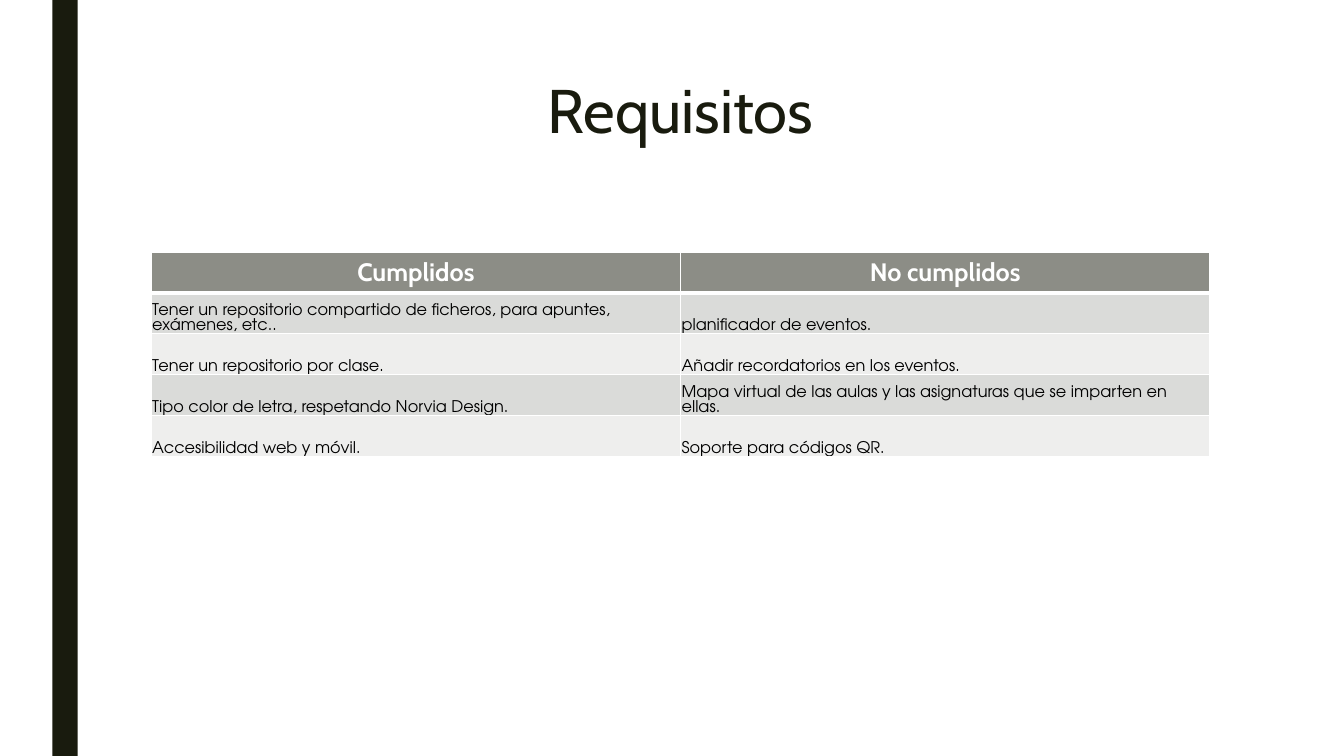
from dataclasses import dataclass

from lxml import etree
from pptx import Presentation
from pptx import util as u
from pptx.dml.color import RGBColor
from pptx.enum import shapes, text
from pptx.oxml import ns

INK = {"dark": "191B0E", "head": "8C8D86", "odd": "DADBD9",
       "even": "EEEEED", "white": "FFFFFF", "black": "000000"}


@dataclass
class Row:
    met: str
    unmet: str


HEAD = Row("Cumplidos", "No cumplidos")
ROWS = [
    Row("Tener un repositorio compartido de ficheros, para apuntes, exámenes, etc..",
        "planificador de eventos."),
    Row("Tener un repositorio por clase.", "Añadir recordatorios en los eventos."),
    Row("Tipo color de letra, respetando Norvia Design.",
        "Mapa virtual de las aulas y las asignaturas que se imparten en ellas."),
    Row("Accesibilidad web y móvil.", "Soporte para códigos QR."),
]


def color(name: str) -> RGBColor:
    return RGBColor.from_string(INK[name])


def write(frame, words: str, *, size: float, font: str, ink: str,
          bold: bool = False, align=text.PP_ALIGN.LEFT, gap: float = 1.0) -> None:
    para = frame.paragraphs[0]
    para.alignment = align
    para.line_spacing = gap
    run = para.add_run()
    run.text = words
    run.font.size = u.Pt(size)
    run.font.name = font
    run.font.bold = bold
    run.font.color.rgb = color(ink)


def edge(cell, side: str, width: float) -> None:
    props = cell._tc.get_or_add_tcPr()
    line = etree.SubElement(props, ns.qn(f"a:ln{side}"), w=str(u.Pt(width)))
    fill = etree.SubElement(line, ns.qn("a:solidFill"))
    etree.SubElement(fill, ns.qn("a:srgbClr"), val=INK["white"])


def paint(cell, words: str, row: int) -> None:
    top = row == 0
    for side in "LRTB":
        thick = (top and side == "B") or (row == 1 and side == "T")
        edge(cell, side, 3 if thick else 1)
    cell.fill.solid()
    cell.fill.fore_color.rgb = color("head" if top else "odd" if row % 2 else "even")
    if top:
        write(cell.text_frame, words, size=18, font="Cabin", ink="white",
              bold=True, align=text.PP_ALIGN.CENTER)
        return
    cell.vertical_anchor = text.MSO_ANCHOR.BOTTOM
    cell.margin_left = cell.margin_right = cell.margin_top = u.Inches(0.01)
    cell.margin_bottom = 0
    write(cell.text_frame, words, size=11.5, font="TeX Gyre Adventor", ink="black")


def main() -> None:
    deck = Presentation()
    deck.slide_width, deck.slide_height = u.Inches(13.33), u.Inches(7.5)
    slide = deck.slides.add_slide(deck.slide_layouts[6])

    bar = slide.shapes.add_shape(shapes.MSO_SHAPE.RECTANGLE, u.Inches(0.52), 0,
                                 u.Inches(0.25), deck.slide_height)
    bar.shadow.inherit = False
    bar.fill.solid()
    bar.fill.fore_color.rgb = color("dark")
    bar.line.fill.background()

    left, wide = u.Inches(1.5), u.Inches(10.5)
    title = slide.shapes.add_textbox(left, u.Inches(0.75), wide, u.Inches(1.62))
    title.text_frame.word_wrap = True
    write(title.text_frame, "Requisitos", size=44, font="Cabin", ink="dark",
          align=text.PP_ALIGN.CENTER, gap=0.89)

    rows = [HEAD, *ROWS]
    table = slide.shapes.add_table(len(rows), 2, left, u.Inches(2.5), wide,
                                   u.Inches(2.03)).table
    for num, row in enumerate(rows):
        for col, words in enumerate((row.met, row.unmet)):
            paint(table.cell(num, col), words, num)

    deck.save("out.pptx")


if __name__ == "__main__":
    main()
